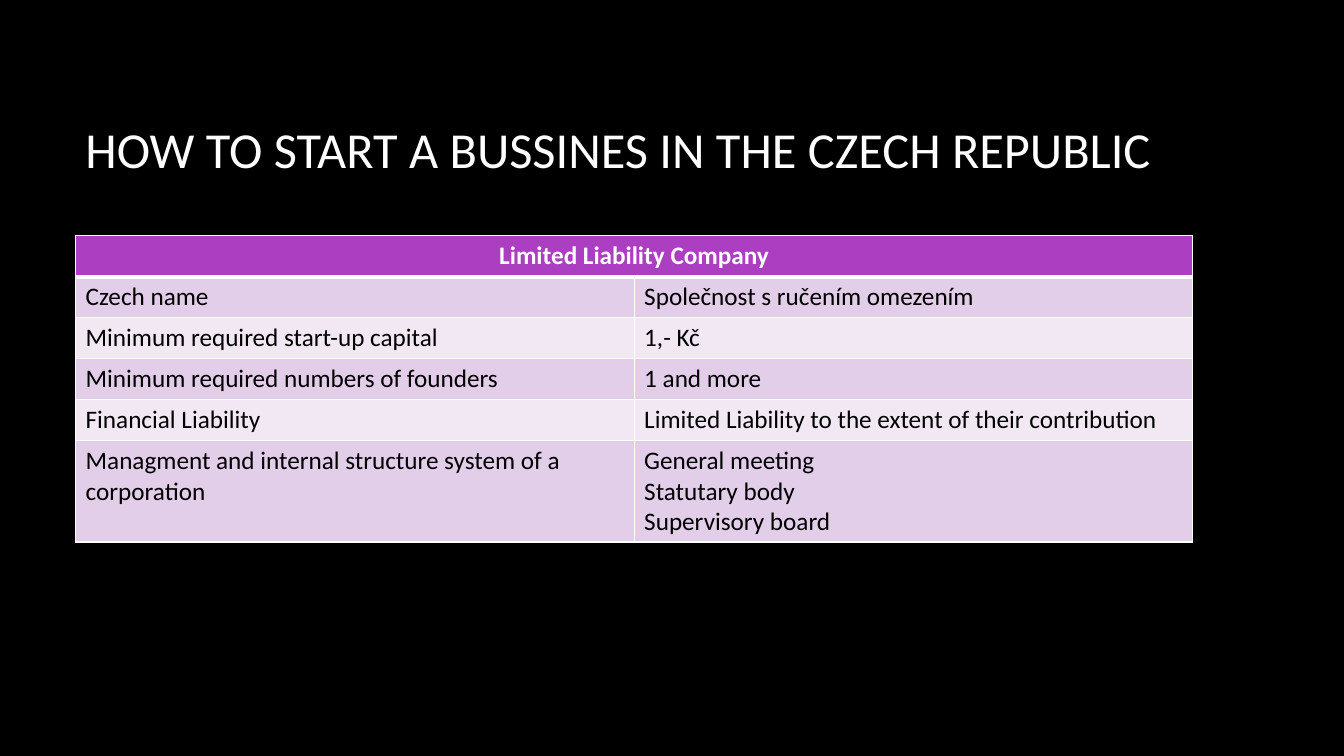
import pptx
import pptx.dml.color
import pptx.enum.text
import pptx.oxml
import pptx.oxml.ns
import pptx.util

Pt = pptx.util.Pt
ALIGN = pptx.enum.text.PP_ALIGN
ANCHOR = pptx.enum.text.MSO_ANCHOR

ROWS = [
    ("Czech name", "Společnost s ručením omezením"),
    ("Minimum required start-up capital", "1,- Kč"),
    ("Minimum required numbers of founders", "1 and more"),
    ("Financial Liability", "Limited Liability to the extent of their contribution"),
    ("Managment and internal structure system of a corporation",
     "General meeting\nStatutary body\nSupervisory board"),
]


def rgb(color):
    return pptx.dml.color.RGBColor.from_string(color)


def write(tf, text, size=18, color="000000", bold=False, align=ALIGN.LEFT, font="Calibri"):
    """Put one paragraph per line of text into a text frame."""
    tf.word_wrap = True
    for i, line in enumerate(text.split("\n")):
        p = tf.add_paragraph() if i else tf.paragraphs[0]
        p.alignment = align
        r = p.add_run()
        r.text = line
        r.font.name, r.font.size, r.font.bold = font, Pt(size), bold
        r.font.color.rgb = rgb(color)


class Deck:
    background = "000000"
    light = "FFFFFF"
    header = "AC3EC1"
    bands = ("E3CEE9", "F1E8F4")

    def __init__(self, slide):
        self.slide = slide
        fill = slide.background.fill
        fill.solid()
        fill.fore_color.rgb = rgb(self.background)

    def title(self, text, x, y, w, h):
        tf = self.slide.shapes.add_textbox(Pt(x), Pt(y), Pt(w), Pt(h)).text_frame
        tf.vertical_anchor = ANCHOR.MIDDLE
        write(tf, text, size=36, color=self.light)

    def borders(self, cell, **widths):
        """Draw cell edges; widths are in points, keyed L, R, T, B."""
        tcPr = cell._tc.get_or_add_tcPr()
        for i, (side, width) in enumerate(widths.items()):
            tcPr.insert(i, pptx.oxml.parse_xml(
                f'<a:ln{side} {pptx.oxml.ns.nsdecls("a")} w="{Pt(width)}">'
                f'<a:solidFill><a:srgbClr val="{self.light}"/></a:solidFill>'
                f'</a:ln{side}>'))

    def table(self, heading, rows, x, y, col_w, row_h, last_h):
        n_rows, n_cols = len(rows) + 1, len(rows[0])
        height = row_h * len(rows) + last_h
        tbl = self.slide.shapes.add_table(
            n_rows, n_cols, Pt(x), Pt(y), Pt(col_w * n_cols), Pt(height)).table
        for col in tbl.columns:
            col.width = Pt(col_w)
        for row in tbl.rows:
            row.height = Pt(row_h)
        tbl.rows[n_rows - 1].height = Pt(last_h)

        # Fills and borders
        for i in range(n_rows):
            for j in range(n_cols):
                cell = tbl.cell(i, j)
                cell.fill.solid()
                cell.fill.fore_color.rgb = rgb(self.bands[(i - 1) % 2] if i else self.header)
                self.borders(cell, L=1, R=1, T=3 if i == 1 else 1, B=1 if i else 3)

        # Heading across all columns, then the body
        tbl.cell(0, 0).merge(tbl.cell(0, n_cols - 1))
        write(tbl.cell(0, 0).text_frame, heading, color=self.light, bold=True,
              align=ALIGN.CENTER)
        for i, row in enumerate(rows, 1):
            for j, text in enumerate(row):
                write(tbl.cell(i, j).text_frame, text)


def main():
    prs = pptx.Presentation()
    prs.slide_width, prs.slide_height = Pt(960), Pt(540)
    deck = Deck(prs.slides.add_slide(prs.slide_layouts[6]))

    deck.title("HOW TO START A BUSSINES IN THE CZECH REPUBLIC", 54, 48.5, 798, 114.5)
    deck.table("Limited Liability Company", ROWS, 54, 168.5,
               col_w=399, row_h=29.2, last_h=72.7)

    prs.save("out.pptx")


if __name__ == "__main__":
    main()
